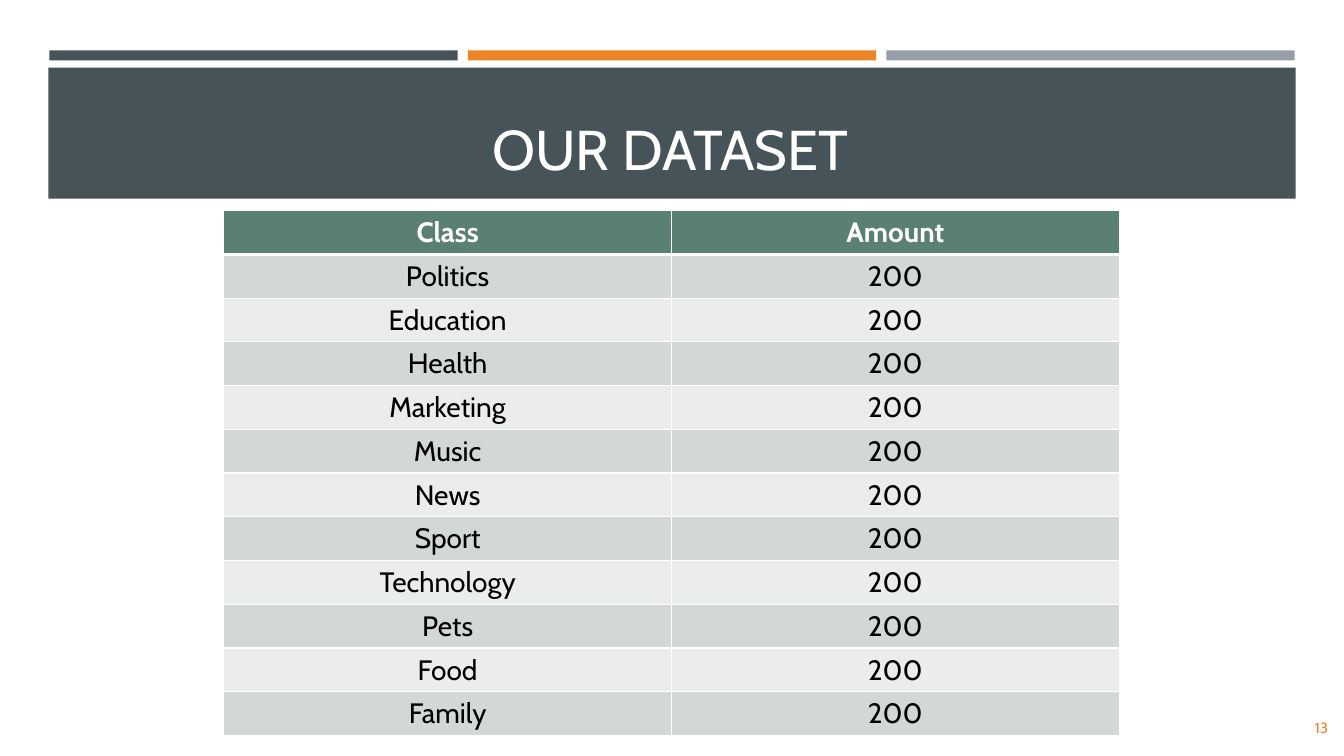
from lxml import etree
from pptx import Presentation
from pptx.dml.color import RGBColor
from pptx.enum.shapes import MSO_SHAPE
from pptx.enum.text import MSO_ANCHOR, PP_ALIGN
from pptx.oxml.ns import qn
from pptx.util import Inches, Pt

RECTANGLE = MSO_SHAPE.RECTANGLE
CENTER, RIGHT = PP_ALIGN.CENTER, PP_ALIGN.RIGHT
MIDDLE, BOTTOM = MSO_ANCHOR.MIDDLE, MSO_ANCHOR.BOTTOM
TITLE_ONLY = 5

FONT = "Cabin"
SLATE, ORANGE, GRAY = "465359", "ED8428", "969FA7"
WHITE, BLACK, GREEN = "FFFFFF", "000000", "5A8071"
ROW_BANDS = ["D2D8D5", "EAEDEB"]

CLASSES = ["Politics", "Education", "Health", "Marketing", "Music", "News",
           "Sport", "Technology", "Pets", "Food", "Family"]
DATASET = [("Class", "Amount")] + [(name, "200") for name in CLASSES]


def rgb(color):
    return RGBColor.from_string(color)


def box(left, top, width, height):
    return [Inches(length) for length in (left, top, width, height)]


def write(frame, text, size, color, align, bold=False):
    frame.text = text
    paragraph = frame.paragraphs[0]
    paragraph.alignment = align
    font = paragraph.runs[0].font
    for name, value in {"name": FONT, "size": Pt(size), "bold": bold}.items():
        setattr(font, name, value)
    font.color.rgb = rgb(color)


def add_bar(slide, bounds, color):
    bar = slide.shapes.add_shape(RECTANGLE, *box(*bounds))
    bar.shadow.inherit = False
    bar.fill.solid()
    bar.fill.fore_color.rgb = rgb(color)
    bar.line.fill.background()


def add_title(slide, text, bounds):
    title = slide.shapes.title
    title.left, title.top, title.width, title.height = box(*bounds)
    write(title.text_frame, text, 40, WHITE, CENTER)
    title.text_frame.vertical_anchor = BOTTOM
    # Bring the title in front of its band
    title.element.getparent().append(title.element)


def add_page_number(slide, number, bounds):
    frame = slide.shapes.add_textbox(*box(*bounds)).text_frame
    frame.word_wrap = True
    frame.vertical_anchor = MIDDLE
    write(frame, number, 10.5, ORANGE, RIGHT)


def set_borders(cell, widths):
    properties = cell._tc.get_or_add_tcPr()
    for side, width in widths.items():
        border = etree.SubElement(properties, qn(f"a:ln{side}"), w=str(Pt(width)))
        fill = etree.SubElement(border, qn("a:solidFill"))
        etree.SubElement(fill, qn("a:srgbClr"), val=WHITE)


def add_dataset_table(slide, rows, left, top, column_width, row_height):
    columns = len(rows[0])
    bounds = box(left, top, column_width * columns, row_height * len(rows))
    table = slide.shapes.add_table(len(rows), columns, *bounds).table
    for column in table.columns:
        column.width = Inches(column_width)
    for r, values in enumerate(rows):
        table.rows[r].height = Inches(row_height)
        header = r == 0
        for c, value in enumerate(values):
            cell = table.cell(r, c)
            # A thicker rule separates the header from the classes
            set_borders(cell, {"L": 1, "R": 1, "T": 3 if r == 1 else 1,
                               "B": 3 if header else 1})
            cell.fill.solid()
            cell.fill.fore_color.rgb = rgb(GREEN if header else ROW_BANDS[(r - 1) % 2])
            write(cell.text_frame, value, 20, WHITE if header else BLACK,
                  CENTER, bold=header)


def main():
    deck = Presentation()
    deck.slide_width, deck.slide_height = Inches(13.33), Inches(7.5)
    slide = deck.slides.add_slide(deck.slide_layouts[TITLE_ONLY])

    # Accent bars and title band
    for i, color in enumerate([SLATE, ORANGE, GRAY]):
        add_bar(slide, (0.49 + 4.15 * i, 0.5, 4.05, 0.1), color)
    add_bar(slide, (0.48, 0.67, 12.37, 1.3), SLATE)
    add_title(slide, "OUR DATASET", (0.62, 0.74, 12.06, 1.11))

    # Page number and dataset
    add_page_number(slide, "13", (12.12, 7.02, 1.15, 0.4))
    add_dataset_table(slide, DATASET, 2.22, 2.09, 4.44, 0.43)

    deck.save("out.pptx")


if __name__ == "__main__":
    main()
